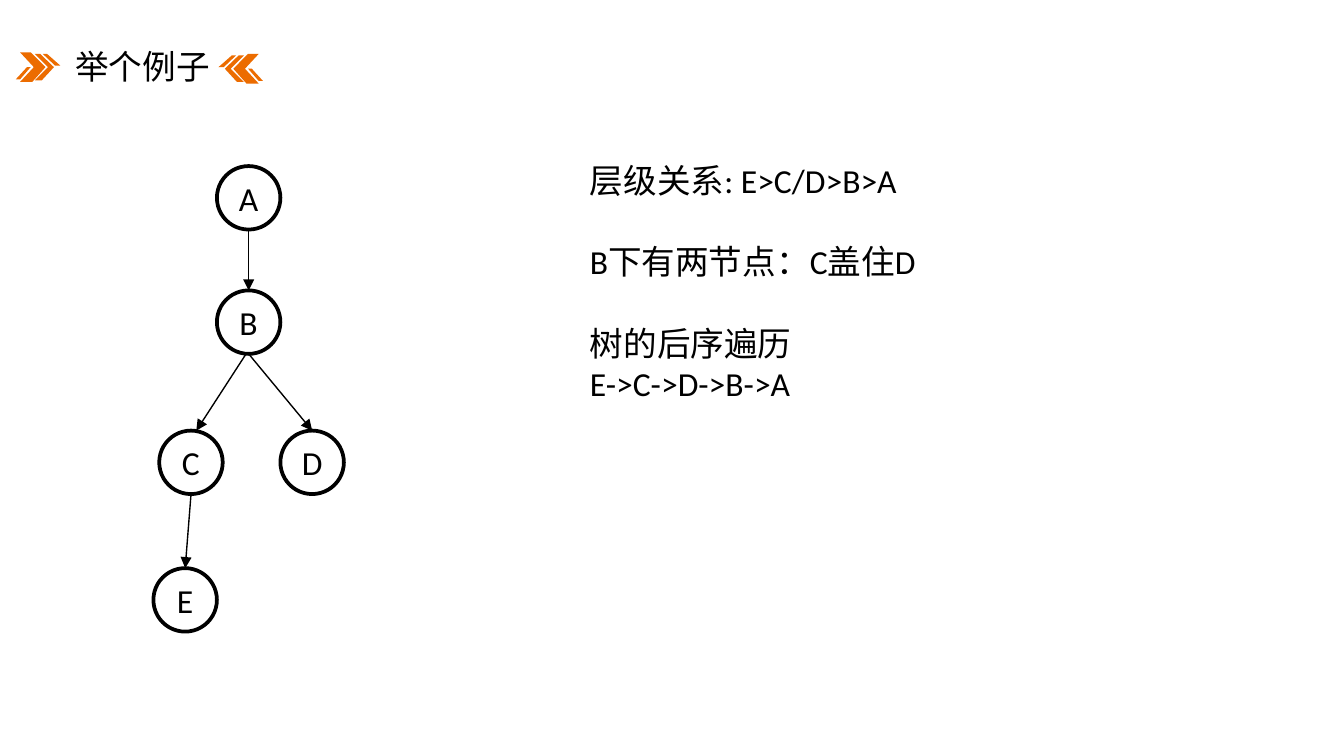
from typing import NamedTuple

from lxml import etree
from pptx import Presentation
from pptx import util as u
from pptx.dml.color import RGBColor
from pptx.enum import shapes, text
from pptx.oxml.ns import qn

BLACK, WHITE, ORANGE = "000000", "FFFFFF", "EC6C00"
DIAMETER = 1.2
MIRROR_X, MIRROR_DY = 5.27, 0.03


class Node(NamedTuple):
    """A tree node, placed by its centre in centimetres."""
    label: str
    x: float
    y: float


class Edge(NamedTuple):
    """An arrow between nodes, with sideways shifts of its two ends."""
    parent: str
    child: str
    start_dx: float = 0
    end_dx: float = 0


class Line(NamedTuple):
    """A paragraph and the gap above it in points."""
    words: str
    gap: int = 0


NODES = [
    Node("A", 4.7, 3.74),
    Node("B", 4.7, 6.09),
    Node("C", 3.61, 8.74),
    Node("D", 5.9, 8.74),
    Node("E", 3.5, 11.34),
]
EDGES = [Edge("A", "B"), Edge("B", "C", -0.05, 0.1), Edge("B", "D"), Edge("C", "E")]
LINES = [
    Line("层级关系: E>C/D>B>A"),
    Line("B下有两节点：C盖住D", 22),
    Line("树的后序遍历", 22),
    Line("E->C->D->B->A"),
]
CHEVRON = [
    [(0.38, 0.99), (0.58, 0.99), (0.86, 1.27), (0.61, 1.55), (0.38, 1.55), (0.64, 1.27)],
    [(0.51, 1.27), (0.58, 1.27), (0.38, 1.5), (0.3, 1.5)],
    [(0.66, 1.02), (0.76, 1.02), (1.02, 1.27), (0.79, 1.52), (0.66, 1.52), (0.91, 1.27)],
    [(0.89, 1.02), (0.81, 1.02), (1.04, 1.24), (1.14, 1.24)],
]


def rgb(value: str) -> RGBColor:
    """Turn a hex string into a colour."""
    return RGBColor.from_string(value)


def paint(sp, colour: str) -> None:
    """Fill a shape and drop its shadow."""
    sp.shadow.inherit = False
    sp.fill.solid()
    sp.fill.fore_color.rgb = rgb(colour)


def style(p, align=text.PP_ALIGN.LEFT) -> None:
    """Align a paragraph and format its runs."""
    p.alignment = align
    for r in p.runs:
        r.font.size = u.Pt(18)
        r.font.name = "Calibri"
        r.font.color.rgb = rgb(BLACK)


def add_title(slide, words: str) -> None:
    """Place the title between the chevrons."""
    sp = slide.shapes.title
    sp.left, sp.top, sp.width, sp.height = map(u.Cm, (1.17, 0.74, 3.07, 1.02))
    tf = sp.text_frame
    tf.text = words
    tf.word_wrap = False
    tf.auto_size = text.MSO_AUTO_SIZE.NONE
    tf.vertical_anchor = text.MSO_ANCHOR.TOP
    style(tf.paragraphs[0])


def add_chevron(slide, mirrored: bool) -> None:
    """Draw one grouped chevron, pointing left if mirrored."""
    group = slide.shapes.add_group_shape()
    for outline in CHEVRON:
        if mirrored:
            outline = [(MIRROR_X - x, y + MIRROR_DY) for x, y in outline]
        points = [(u.Cm(x), u.Cm(y)) for x, y in outline]
        builder = group.shapes.build_freeform(*points[0])
        builder.add_line_segments(points[1:], close=True)
        sp = builder.convert_to_shape()
        paint(sp, ORANGE)
        sp.line.fill.background()


def add_edge(slide, edge: Edge, nodes: dict[str, Node]) -> None:
    """Draw an arrow from the bottom of a parent to the top of its child."""
    start, end = nodes[edge.parent], nodes[edge.child]
    ends = (start.x + edge.start_dx, start.y + DIAMETER / 2,
            end.x + edge.end_dx, end.y - DIAMETER / 2)
    line = slide.shapes.add_connector(shapes.MSO_CONNECTOR.STRAIGHT, *map(u.Cm, ends))
    line.line.width = u.Pt(0.75)
    line.line.color.rgb = rgb(BLACK)
    etree.SubElement(line.line._get_or_add_ln(), qn("a:tailEnd"), type="triangle")
    etree.SubElement(line._element.spPr, qn("a:effectLst"))


def add_node(slide, node: Node) -> None:
    """Draw a labelled circle."""
    box = (node.x - DIAMETER / 2, node.y - DIAMETER / 2, DIAMETER, DIAMETER)
    sp = slide.shapes.add_shape(shapes.MSO_SHAPE.OVAL, *map(u.Cm, box))
    paint(sp, WHITE)
    sp.line.color.rgb = rgb(BLACK)
    sp.line.width = u.Pt(2)
    tf = sp.text_frame
    tf.margin_left = tf.margin_right = 0
    tf.vertical_anchor = text.MSO_ANCHOR.MIDDLE
    tf.text = node.label
    style(tf.paragraphs[0], text.PP_ALIGN.CENTER)


def add_explanation(slide, lines: list[Line]) -> None:
    """Write the notes on the traversal beside the tree."""
    tf = slide.shapes.add_textbox(*map(u.Cm, (10.9, 2.9, 6.73, 4.88))).text_frame
    tf.word_wrap = True
    tf.text = "\n".join(line.words for line in lines)
    for p, line in zip(tf.paragraphs, lines):
        p.space_before = u.Pt(line.gap)
        style(p)


def main() -> None:
    """Build the slide and save it."""
    prs = Presentation()
    prs.slide_width, prs.slide_height = u.Cm(25.4), u.Cm(14.29)
    slide = prs.slides.add_slide(prs.slide_layouts[5])
    add_title(slide, "举个例子")
    for mirrored in (False, True):
        add_chevron(slide, mirrored)
    nodes = {node.label: node for node in NODES}
    for edge in EDGES:
        add_edge(slide, edge, nodes)
    for node in NODES:
        add_node(slide, node)
    add_explanation(slide, LINES)
    prs.save("out.pptx")


main()
